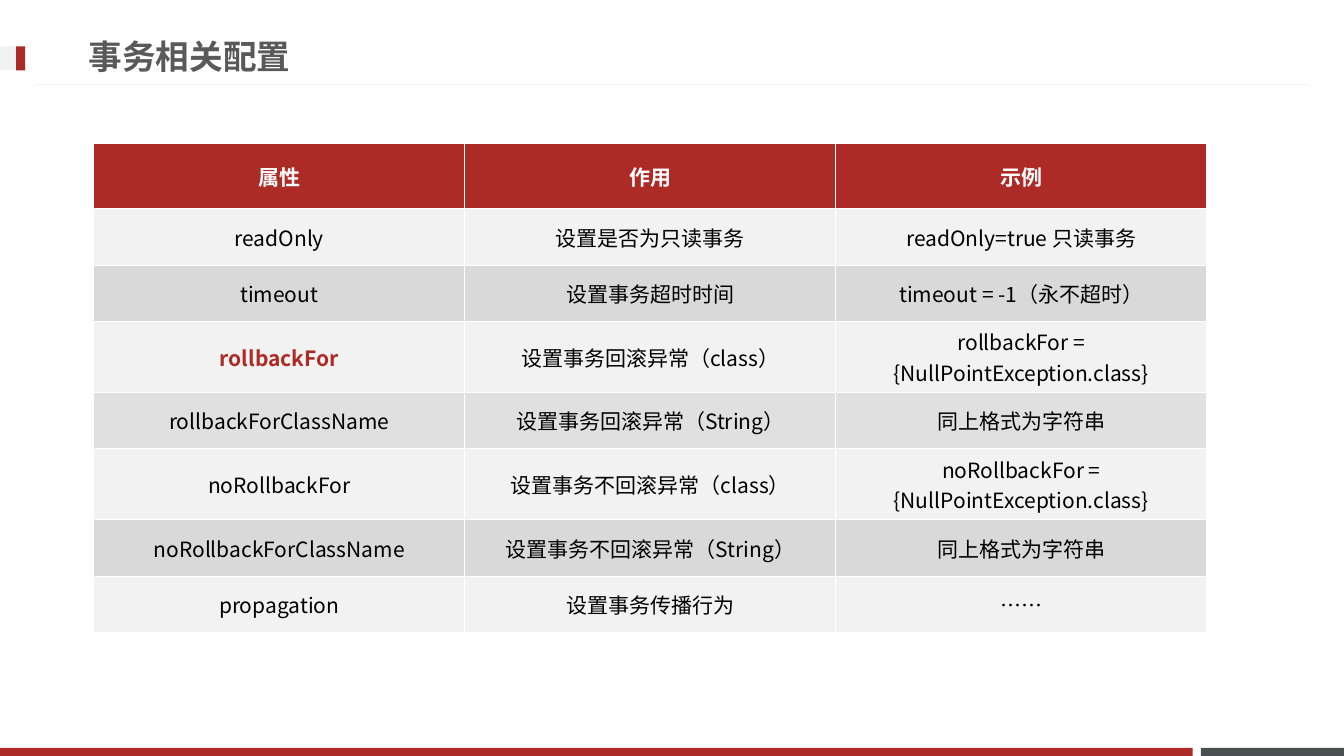
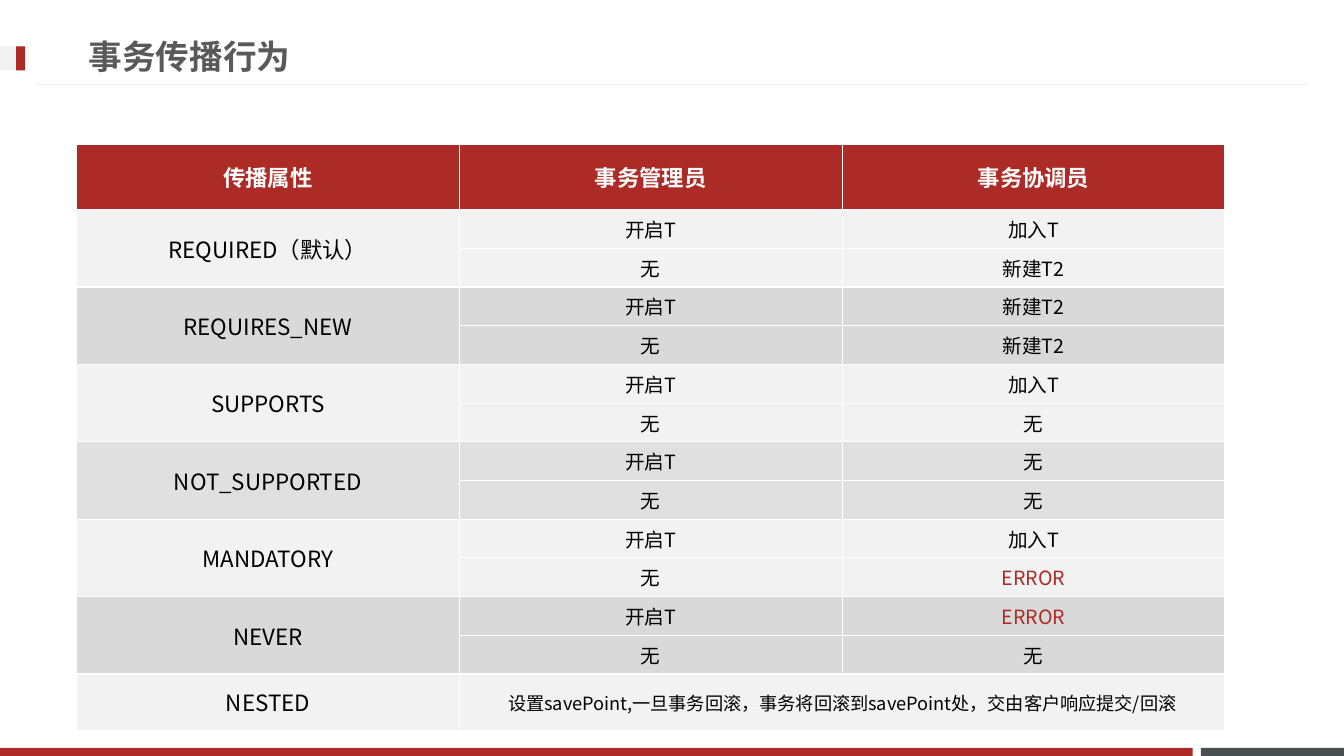
from lxml import etree
from pptx import Presentation
from pptx.dml.color import RGBColor
from pptx.enum.shapes import MSO_CONNECTOR, MSO_SHAPE
from pptx.enum.text import MSO_ANCHOR, PP_ALIGN
from pptx.oxml.ns import qn
from pptx.util import Inches, Pt

RECTANGLE = MSO_SHAPE.RECTANGLE
STRAIGHT = MSO_CONNECTOR.STRAIGHT
MIDDLE = MSO_ANCHOR.MIDDLE
LEFT, CENTER = PP_ALIGN.LEFT, PP_ALIGN.CENTER

RED = RGBColor(0xAD, 0x2B, 0x26)
SLATE = RGBColor(0x49, 0x50, 0x4F)
TITLE_GRAY = RGBColor(0x59, 0x59, 0x59)
LIGHT = RGBColor(0xF2, 0xF2, 0xF2)
DARK = RGBColor(0xD9, 0xD9, 0xD9)
WHITE = RGBColor(0xFF, 0xFF, 0xFF)
BLACK = RGBColor(0, 0, 0)

BODY_FONT = "Noto Sans CJK JP"
TITLE_FONT = "Noto Sans Mono"
TITLE_ONLY = 5
SLIDE_WIDTH, SLIDE_HEIGHT = 13.33, 7.5
TITLE_BOX = (0.78, 0.27, 9.59, 0.57)
HEADER_HEIGHT, ROW_HEIGHT, HALF_ROW_HEIGHT = 0.65, 0.56, 0.28
BANDS = [(LIGHT, 100), (DARK, 100), (LIGHT, 100), (DARK, 80),
         (LIGHT, 100), (DARK, 100), (LIGHT, 100)]

ATTRIBUTE_HEADER = ["属性", "作用", "示例"]
ATTRIBUTES = [
    ("readOnly", "设置是否为只读事务", "readOnly=true 只读事务"),
    ("timeout", "设置事务超时时间", "timeout = -1（永不超时）"),
    ("rollbackFor", "设置事务回滚异常（class）",
     "rollbackFor = {NullPointException.class}"),
    ("rollbackForClassName", "设置事务回滚异常（String）", "同上格式为字符串"),
    ("noRollbackFor", "设置事务不回滚异常（class）",
     "noRollbackFor = {NullPointException.class}"),
    ("noRollbackForClassName", "设置事务不回滚异常（String）", "同上格式为字符串"),
    ("propagation", "设置事务传播行为", "……"),
]

PROPAGATION_HEADER = ["传播属性", "事务管理员", "事务协调员"]
MANAGER_STATES = ["开启T", "无"]
PROPAGATIONS = [
    ("REQUIRED（默认）", ["加入T", "新建T2"]),
    ("REQUIRES_NEW", ["新建T2", "新建T2"]),
    ("SUPPORTS", ["加入T", "无"]),
    ("NOT_SUPPORTED", ["无", "无"]),
    ("MANDATORY", ["加入T", "ERROR"]),
    ("NEVER", ["ERROR", "无"]),
]
NESTED_NOTE = "设置savePoint,一旦事务回滚，事务将回滚到savePoint处，交由客户响应提交/回滚"


def style_paragraph(paragraph, font_name, size, color, bold, alignment):
    paragraph.alignment = alignment
    font = paragraph.font
    font.name, font.size, font.bold = font_name, Pt(size), bold
    font.color.rgb = color
    properties = paragraph._p.pPr.find(qn("a:defRPr"))
    etree.SubElement(properties, qn("a:ea")).set("typeface", BODY_FONT)


def add_bar(slide, box, color):
    shape = slide.shapes.add_shape(RECTANGLE, *map(Inches, box))
    shape.shadow.inherit = False
    shape.fill.solid()
    shape.fill.fore_color.rgb = color
    shape.line.fill.background()
    return shape


def add_rule(slide, left, right, top):
    connector = slide.shapes.add_connector(
        STRAIGHT, Inches(left), Inches(top), Inches(right), Inches(top))
    connector.line.color.rgb = LIGHT
    connector.line.width = Pt(0.75)
    etree.SubElement(connector.element.spPr, qn("a:effectLst"))
    return connector


def decorate_layout(slide):
    decorations = [
        add_bar(slide, (11.91, 7.42, 1.42, 0.08), SLATE),
        add_bar(slide, (0, 7.42, 11.83, 0.08), RED),
        add_rule(slide, 0.35, 12.98, 0.84),
        add_bar(slide, (0, 0.46, 0.25, 0.24), LIGHT),
        add_bar(slide, (0.16, 0.46, 0.09, 0.24), RED),
    ]
    layout_tree = slide.slide_layout.shapes.element
    for number, decoration in enumerate(decorations, start=100):
        decoration.element.xpath(".//p:cNvPr")[0].set("id", str(number))
        layout_tree.append(decoration.element)


def add_titled_slide(presentation, text):
    slide = presentation.slides.add_slide(presentation.slide_layouts[TITLE_ONLY])
    title = slide.shapes.title
    title.left, title.top, title.width, title.height = map(Inches, TITLE_BOX)
    title.text_frame.text = text
    title.text_frame.vertical_anchor = MIDDLE
    style_paragraph(title.text_frame.paragraphs[0],
                    TITLE_FONT, 24, TITLE_GRAY, True, LEFT)
    return slide


def fill_cell(cell, text, band, size, color=BLACK, bold=False):
    fill_color, opacity = band
    cell.fill.solid()
    cell.fill.fore_color.rgb = fill_color
    if opacity < 100:
        color_element = cell._tc.tcPr.find(".//" + qn("a:srgbClr"))
        etree.SubElement(color_element, qn("a:alpha")).set("val", str(opacity * 1000))
    cell.vertical_anchor = MIDDLE
    cell.text = text
    style_paragraph(cell.text_frame.paragraphs[0],
                    BODY_FONT, size, color, bold, CENTER)


def add_header_table(slide, left, top, width, header, row_heights, size):
    heights = [HEADER_HEIGHT, *row_heights]
    table = slide.shapes.add_table(
        len(heights), len(header), Inches(left), Inches(top),
        Inches(width), Inches(sum(heights))).table
    table.horz_banding = False
    for row, height in zip(table.rows, heights):
        row.height = Inches(height)
    for column, text in enumerate(header):
        fill_cell(table.cell(0, column), text, (RED, 100), size, WHITE, True)
    return table


def add_attribute_table(slide, left, top, width):
    size = 15
    table = add_header_table(slide, left, top, width, ATTRIBUTE_HEADER,
                             [ROW_HEIGHT] * len(ATTRIBUTES), size)
    for row, (texts, band) in enumerate(zip(ATTRIBUTES, BANDS), start=1):
        for column, text in enumerate(texts):
            highlighted = text == "rollbackFor"
            fill_cell(table.cell(row, column), text, band, size,
                      RED if highlighted else BLACK, highlighted)


def add_propagation_table(slide, left, top, width):
    name_size, state_size, note_size = 16, 14, 13
    half_rows = len(PROPAGATIONS) * len(MANAGER_STATES)
    table = add_header_table(slide, left, top, width, PROPAGATION_HEADER,
                             [HALF_ROW_HEIGHT] * half_rows + [ROW_HEIGHT], name_size)
    for index, ((name, results), band) in enumerate(zip(PROPAGATIONS, BANDS)):
        first_row = 1 + index * len(MANAGER_STATES)
        name_cell = table.cell(first_row, 0)
        name_cell.merge(table.cell(first_row + len(MANAGER_STATES) - 1, 0))
        fill_cell(name_cell, name, band, name_size)
        for row, (state, result) in enumerate(zip(MANAGER_STATES, results), first_row):
            fill_cell(table.cell(row, 1), state, band, state_size)
            fill_cell(table.cell(row, 2), result, band, state_size,
                      RED if result == "ERROR" else BLACK)
    last_row = half_rows + 1
    note_cell = table.cell(last_row, 1)
    note_cell.merge(table.cell(last_row, 2))
    fill_cell(table.cell(last_row, 0), "NESTED", BANDS[-1], name_size)
    fill_cell(note_cell, NESTED_NOTE, BANDS[-1], note_size)


presentation = Presentation()
presentation.slide_width = Inches(SLIDE_WIDTH)
presentation.slide_height = Inches(SLIDE_HEIGHT)

attribute_slide = add_titled_slide(presentation, "事务相关配置")
decorate_layout(attribute_slide)
add_attribute_table(attribute_slide, 0.93, 1.42, 11.04)

propagation_slide = add_titled_slide(presentation, "事务传播行为")
add_propagation_table(propagation_slide, 0.76, 1.43, 11.39)

presentation.save("out.pptx")
